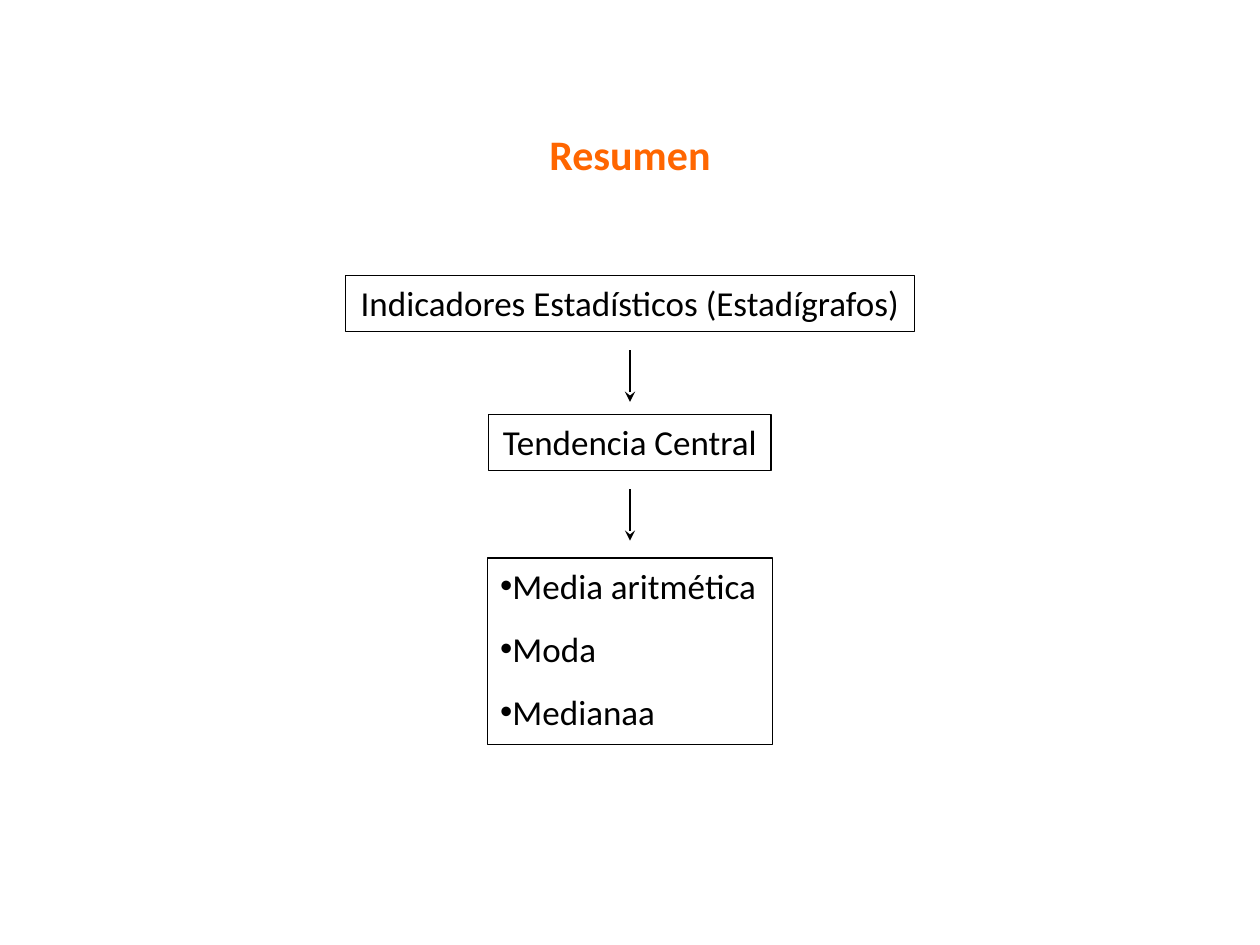
from dataclasses import dataclass

from lxml.etree import SubElement
from pptx import Presentation
from pptx.dml.color import RGBColor as RGB
from pptx.enum.shapes import MSO_CONNECTOR as Connector, MSO_SHAPE as Shape
from pptx.enum.text import MSO_ANCHOR as Anchor, MSO_AUTO_SIZE as AutoSize, PP_ALIGN as Align
from pptx.oxml.ns import qn
from pptx.util import Cm, Pt


@dataclass(frozen=True)
class Theme:
    font: str = "Calibri"
    accent: RGB = RGB(0xFF, 0x66, 0x00)
    ink: RGB = RGB(0, 0, 0)
    paper: RGB = RGB(0xFF, 0xFF, 0xFF)
    title_size: int = 24
    text_size: int = 20
    line_width: float = 0.75


@dataclass(frozen=True)
class Box:
    text: str
    width: float


THEME = Theme()
CENTER = 12.7  # slide axis, cm
FLOW_TOP, BOX_HEIGHT, STEP = 5.56, 1.12, 2.8
ARROW_GAP, ARROW_LENGTH = 0.38, 1.04
FLOW = [Box("Indicadores Estadísticos (Estadígrafos)", 11.48),
        Box("Tendencia Central", 5.69)]
MEASURES = ["Media aritmética", "Moda", "Medianaa"]


def place(sp, top: float, width: float, height: float) -> None:
    """Centre a shape on the slide axis."""
    sp.left, sp.top = Cm(CENTER - width / 2), Cm(top)
    sp.width, sp.height = Cm(width), Cm(height)


def outline(sp) -> None:
    sp.fill.solid()
    sp.fill.fore_color.rgb = THEME.paper
    sp.line.color.rgb = THEME.ink
    sp.line.width = Pt(THEME.line_width)


def write(sp, *lines: str, size: int = THEME.text_size, color: RGB = THEME.ink,
          bold: bool = False, align: Align = Align.CENTER, wrap: bool = True,
          gap: int = 0, bullet: str = "") -> None:
    """Fill a shape with one formatted paragraph per line."""
    tf = sp.text_frame
    tf.auto_size, tf.word_wrap = AutoSize.NONE, wrap
    tf.vertical_anchor = Anchor.TOP
    for i, line in enumerate(lines):
        p = tf.add_paragraph() if i else tf.paragraphs[0]
        p.alignment = align
        p.space_before = Pt(gap if i else 0)
        if bullet:
            pPr = p._p.get_or_add_pPr()
            pPr.set("marL", "0")
            pPr.set("indent", "0")
            SubElement(pPr, qn("a:buChar"), char=bullet)
        r = p.add_run()
        r.text = line
        r.font.name, r.font.size, r.font.bold = THEME.font, Pt(size), bold
        r.font.color.rgb = color


def add_box(slide, box: Box, top: float) -> None:
    sp = slide.shapes.add_shape(Shape.RECTANGLE, 0, 0, 0, 0)
    place(sp, top, box.width, BOX_HEIGHT)
    sp.shadow.inherit = False
    outline(sp)
    write(sp, box.text, wrap=False)


def add_arrow(slide, top: float) -> None:
    line = slide.shapes.add_connector(Connector.STRAIGHT, Cm(CENTER), Cm(top),
                                      Cm(CENTER), Cm(top + ARROW_LENGTH))
    line.line.color.rgb = THEME.ink
    line.line.width = Pt(THEME.line_width)
    SubElement(line.line._get_or_add_ln(), qn("a:tailEnd"), type="stealth")
    SubElement(line._element.spPr, qn("a:effectLst"))


def main() -> None:
    prs = Presentation()
    prs.slide_width, prs.slide_height = Cm(25.4), Cm(19.05)
    slide = prs.slides.add_slide(prs.slide_layouts[1])

    # Title
    title = slide.shapes.title
    place(title, 2.46, 21.41, 1.27)
    write(title, "Resumen", size=THEME.title_size, color=THEME.accent, bold=True)

    # Flow of boxes, each followed by an arrow
    for i, box in enumerate(FLOW):
        top = FLOW_TOP + i * STEP
        add_box(slide, box, top)
        add_arrow(slide, top + BOX_HEIGHT + ARROW_GAP)

    # List of measures
    body = slide.placeholders[1]
    place(body, 11.25, 5.74, 3.76)
    outline(body)
    write(body, *MEASURES, align=Align.LEFT, gap=12, bullet="•")

    prs.save("out.pptx")


if __name__ == "__main__":
    main()
